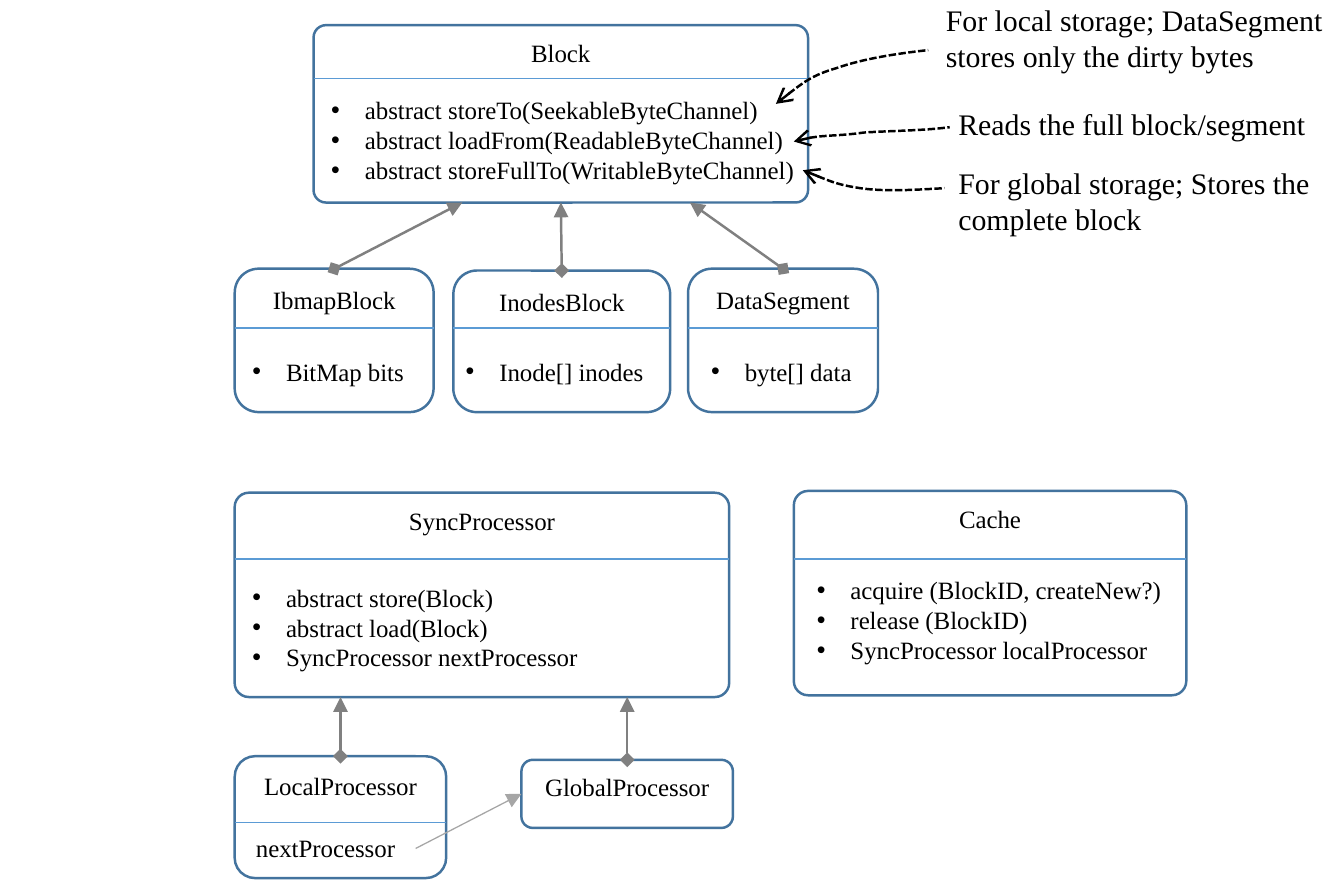
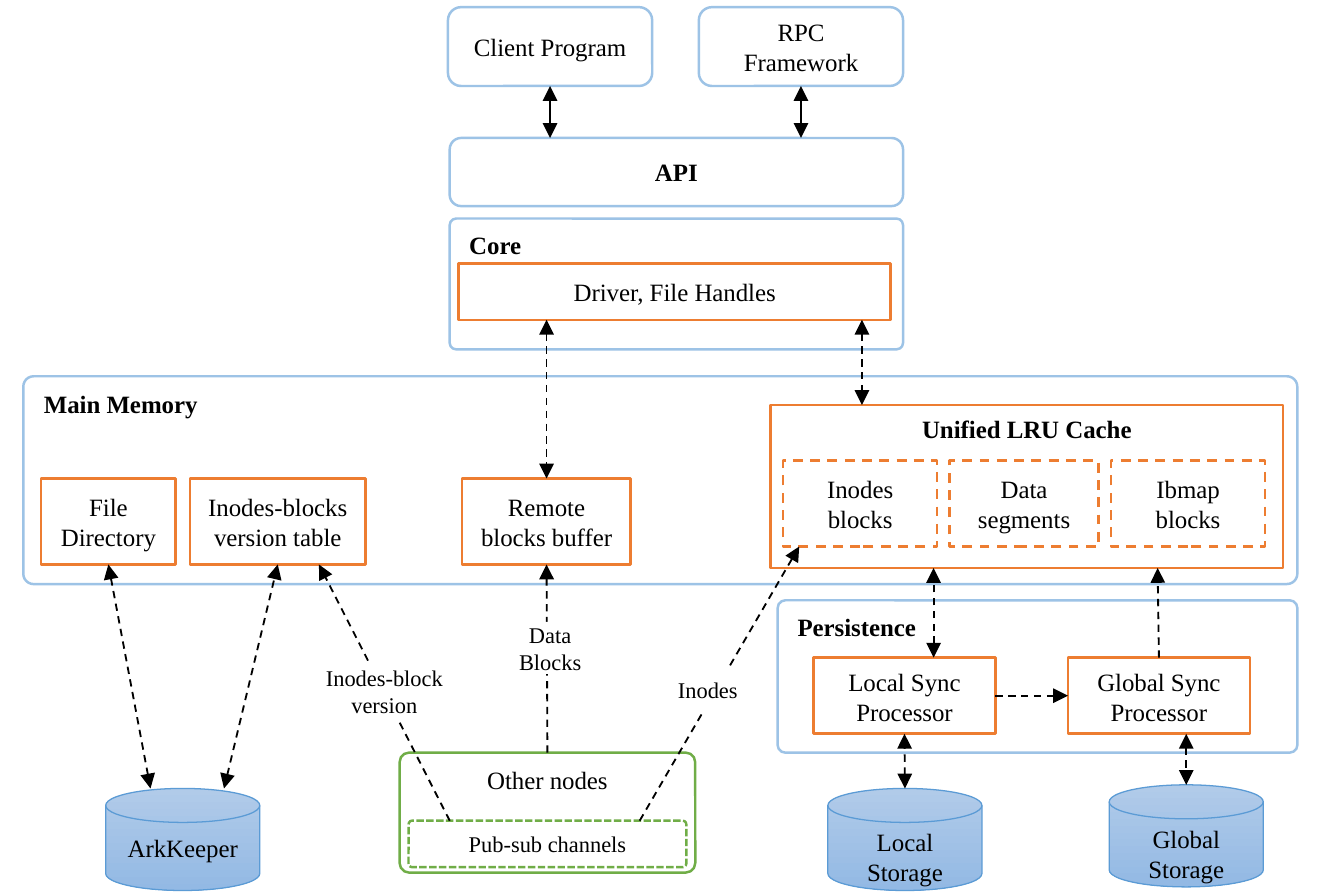
import pptx
import pptx.util
import pptx.dml.color
import pptx.enum.dml
import pptx.enum.shapes
import pptx.enum.text
import pptx.oxml
import pptx.oxml.ns

HUES = {"ink": "000000", "white": "FFFFFF", "navy": "43739E", "blue": "5B9BD5",
        "sky": "9DC3E6", "orange": "ED7D31", "green": "70AD47", "gray": "808080",
        "silver": "A6A6A6", "light": "B1CBE9", "deep": "93B9E4"}
FONT = "Times New Roman"
COLS, ROWS = 75, 50
CELL = pptx.util.Inches(7.5) / COLS
KIND = pptx.enum.shapes.MSO_SHAPE
ALIGN = pptx.enum.text.PP_ALIGN
ANCHOR = pptx.enum.text.MSO_ANCHOR
FIT = pptx.enum.text.MSO_AUTO_SIZE
DASH = pptx.enum.dml.MSO_LINE.DASH
DOTS = pptx.enum.dml.MSO_LINE.SQUARE_DOT
SIDES = [(0.5, 0), (0, 0.5), (0.5, 1), (1, 0.5)]


def hue(name):
    """Return the named colour."""
    return pptx.dml.color.RGBColor.from_string(HUES[name])


def cells(*nums):
    """Turn grid cells into lengths."""
    return [pptx.util.Emu(round(n * CELL)) for n in nums]


def within(box, x, y, w, h):
    """Place a box by its offset from the corner of another."""
    return box[0] + x, box[1] + y, w, h


def node(tag, **attrs):
    """Make one drawing element."""
    item = pptx.oxml.parse_xml("<a:%s %s/>" % (tag, pptx.oxml.ns.nsdecls("a")))
    for key, val in attrs.items():
        item.set(key, str(val))
    return item


def stroke(shape, color, wide=1, dash=None, head=None, tail=None):
    """Style an outline and its arrowheads."""
    line = shape.line
    line.color.rgb = hue(color)
    line.width = pptx.util.Pt(wide)
    if dash:
        line.dash_style = dash
    pen = shape._element.spPr.find(pptx.oxml.ns.qn("a:ln"))
    for tag, kind in (("headEnd", head), ("tailEnd", tail)):
        if kind:
            pen.append(node(tag, type=kind))


def write(par, text, size=10, bold=False):
    """Add one run to a paragraph."""
    run = par.add_run()
    run.text = text
    run.font.name = FONT
    run.font.size = pptx.util.Pt(size)
    run.font.bold = bold
    run.font.color.rgb = hue("ink")


def draw(sl, box, text, color=None, kind=KIND.RECTANGLE, adj=None, fill="white",
         dash=None, wide=1, size=10, bold=False, align=ALIGN.CENTER,
         anchor=ANCHOR.MIDDLE):
    """Draw a shape with its text."""
    shape = sl.shapes.add_shape(kind, *cells(*box))
    shape.shadow.inherit = False
    if adj:
        shape.adjustments[0] = adj
    if fill:
        shape.fill.solid()
        shape.fill.fore_color.rgb = hue(fill)
    else:
        shape.fill.background()
    if color:
        stroke(shape, color, wide, dash)
    else:
        shape.line.fill.background()
    frame = shape.text_frame
    frame.word_wrap = True
    frame.vertical_anchor = anchor
    if align == ALIGN.CENTER:
        frame.margin_left, frame.margin_right = cells(0.9, 0.9)
    par = frame.paragraphs[0]
    par.alignment = align
    write(par, text, size, bold)
    return shape


def panel(sl, box, text):
    """Draw a titled region."""
    return draw(sl, box, text, "sky", KIND.ROUNDED_RECTANGLE, 0.05, bold=True,
                align=ALIGN.LEFT, anchor=ANCHOR.TOP)


def label(sl, box, rows, size=10, wrap=False, dots=False):
    """Write a text box, with bullets if asked."""
    shape = sl.shapes.add_textbox(*cells(*box))
    frame = shape.text_frame
    frame.word_wrap = wrap
    frame.auto_size = FIT.SHAPE_TO_FIT_TEXT
    for i, text in enumerate(rows):
        par = frame.add_paragraph() if i else frame.paragraphs[0]
        write(par, text, size)
        if dots:
            pad = cells(1.88)[0]
            prop = par._p.get_or_add_pPr()
            prop.set("marL", str(pad))
            prop.set("indent", str(-pad))
            prop.append(node("buFont", typeface="Arial"))
            prop.append(node("buChar", char="•"))
    return shape


def spot(shape, side, off=None):
    """Find a point on a side, at its middle or some cells along it."""
    x = shape.left + shape.width * SIDES[side][0]
    y = shape.top + shape.height * SIDES[side][1]
    if off is not None:
        x = shape.left + off * CELL
    return pptx.util.Emu(round(x)), pptx.util.Emu(round(y))


def rule(sl, start, end, *style, **ends):
    """Draw a straight line between two points."""
    kind = pptx.enum.shapes.MSO_CONNECTOR.STRAIGHT
    line = sl.shapes.add_connector(kind, *start, *end)
    stroke(line, *style, **ends)
    line._element.spPr.append(node("effectLst"))
    return line


def link(sl, start, end, color="ink", wide=0.75, dash=DASH,
         head="triangle", tail="triangle"):
    """Link two sides, joined where they meet a middle."""
    line = rule(sl, spot(*start), spot(*end), color, wide, dash,
                head=head, tail=tail)
    if len(start) == 2:
        line.begin_connect(*start)
    if len(end) == 2:
        line.end_connect(*end)


def model(sl, box, name, split=None, part=None, rows=(), adj=None, dots=True):
    """Draw a class box with its divider and members."""
    shape = draw(sl, box, name, "navy", KIND.ROUNDED_RECTANGLE, adj, None,
                 anchor=ANCHOR.TOP)
    if not split:
        return shape, None
    x, y, w, _ = box
    rule(sl, cells(x, y + split), cells(x + w, y + split), "blue", 0.5)
    left, top, wide = part
    area = within(box, left, top, wide, 1 + 1.7 * len(rows))
    return shape, label(sl, area, rows, dots=dots)


def note(sl, box, text, curve, wrap=True):
    """Write a remark and its curved arrow."""
    pts = [cells(box[0] + x, box[1] + y) for x, y in curve]
    form = sl.shapes.build_freeform(*pts[0], scale=1.0)
    form.add_line_segments(pts[1:], close=False)
    shape = form.convert_to_shape()
    shape.shadow.inherit = False
    shape.fill.background()
    stroke(shape, "ink", 1, DOTS, head="arrow")
    steps = list(shape._element.iter(pptx.oxml.ns.qn("a:lnTo")))
    for i in range(0, len(steps), 3):
        bend = node("cubicBezTo")
        steps[i].addprevious(bend)
        for step in steps[i:i + 3]:
            bend.append(step[0])
            step.getparent().remove(step)
    label(sl, box, [text], 12, wrap)


def blocks(sl, box):
    """Draw the block classes and their parent."""
    top, _ = model(sl, within(box, 4.4, 0, 27.6, 9.9), "Block", 3, (0, 3.4, 28.4),
                   ["abstract storeTo(SeekableByteChannel)",
                    "abstract loadFrom(ReadableByteChannel)",
                    "abstract storeFullTo(WritableByteChannel)"], 0.07)
    kids = [((0, 13.6, 11.1, 8), "IbmapBlock", 3.3, (0, 4.4, 10.6), "BitMap bits", (8.3,)),
            ((12.2, 13.7, 12.1, 7.9), "InodesBlock", 3.2, (-0.3, 4.3, 12.1),
             "Inode[] inodes", ()),
            ((25.3, 13.6, 10.6, 8), "DataSegment", 3.3, (0.3, 4.4, 10), "byte[] data", (21,))]
    for area, name, split, part, row, off in kids:
        kid, _ = model(sl, within(box, *area), name, split, part, [row])
        link(sl, (top, 2, *off), (kid, 0), "gray", 1, None, tail="diamond")


def syncs(sl, box):
    """Draw the processor classes."""
    top, _ = model(sl, within(box, 0, 0, 27.6, 11.4), "SyncProcessor", 3.7,
                   (0, 4.5, 20.4), ["abstract store(Block)", "abstract load(Block)",
                                    "SyncProcessor nextProcessor"], 0.07)
    near, row = model(sl, within(box, 0, 14.7, 11.8, 6.8), "LocalProcessor", 3.7,
                      (0.2, 3.8, 9.9), ["nextProcessor"], dots=False)
    far, _ = model(sl, within(box, 16, 14.9, 11.8, 3.8), "GlobalProcessor")
    for kid, off in ((near, 5.9), (far, 21.9)):
        link(sl, (top, 2, off), (kid, 0), "gray", 1, None, tail="diamond")
    link(sl, (row, 3), (far, 1), "silver", 0.5, None, head=None)


def classes(sl):
    """Build the class diagram."""
    blocks(sl, (13.1, 1.4))
    syncs(sl, (13.1, 27.5))
    model(sl, (44.3, 27.4, 21.9, 11.4), "Cache", 3.8, (0.3, 4.2, 21.6),
          ["acquire (BlockID, createNew?)", "release (BlockID)",
           "SyncProcessor localProcessor"], 0.07)
    note(sl, (51.8, -0.4, 23.3, 5),
         "For local storage; DataSegment stores only the dirty bytes",
         [(-8.5, 6.2), (-7.5, 5.4), (-6.5, 4.6), (-5.1, 4.2), (-3.7, 3.7),
          (-1.8, 3.4), (0, 3.2)])
    note(sl, (52.5, 5.4, 21.7, 3), "Reads the full block/segment",
         [(-8.2, 2.5), (-6.9, 2.1), (-5.7, 2.2), (-4.3, 2), (-2.8, 1.9),
          (-1, 1.9), (0.5, 1.7)], False)
    note(sl, (52.5, 8.7, 24.6, 5), "For global storage; Stores the complete block",
         [(-7.7, 0.8), (-6.7, 1.2), (-5.8, 1.6), (-4.5, 1.8), (-3.1, 2),
          (-1.5, 1.9), (0.2, 1.8)])


def front(sl, box):
    """Draw the clients, the API and the core; return the driver."""
    api = draw(sl, within(box, 0.1, 7.3, 25.3, 3.8), "API", "sky",
               KIND.ROUNDED_RECTANGLE, bold=True)
    for x, name, off in ((0, "Client Program", 5.6), (14, "RPC Framework", 19.6)):
        user = draw(sl, within(box, x, 0, 11.4, 4.4), name, "sky", KIND.ROUNDED_RECTANGLE)
        link(sl, (user, 2), (api, 0, off), wide=1, dash=None)
    panel(sl, within(box, 0.1, 11.8, 25.3, 7.3), "Core")
    return draw(sl, within(box, 0.6, 14.3, 24.1, 3.15), "Driver, File Handles", "orange")


def memory(sl, box):
    """Draw main memory; return its parts."""
    panel(sl, box, "Main Memory")
    parts = [draw(sl, within(box, x, 5.7, w, 4.8), name, "orange")
             for x, w, name in ((1, 7.5, "File Directory"),
                                (9.3, 9.8, "Inodes-blocks version table"),
                                (24.5, 9.4, "Remote blocks buffer"))]
    cache = draw(sl, within(box, 41.7, 1.6, 28.6, 9.1), "Unified LRU Cache", "orange",
                 fill=None, bold=True, anchor=ANCHOR.TOP)
    slots = [draw(sl, within(box, x, 4.7, w, 4.8), name, "orange", dash=DASH)
             for x, w, name in ((42.4, 8.6, "Inodes blocks"),
                                (51.7, 8.3, "Data segments"),
                                (60.7, 8.6, "Ibmap blocks"))]
    return *parts, cache, slots[0]


def persist(sl, box):
    """Draw the persistence region; return its processors."""
    panel(sl, box, "Persistence")
    return [draw(sl, within(box, x, 3.2, 10.15, 4.25), name, "orange", anchor=ANCHOR.TOP)
            for x, name in ((2, "Local Sync Processor"), (16.2, "Global Sync Processor"))]


def peers(sl, box):
    """Draw the other nodes and their channels."""
    style = dict(color="green", kind=KIND.ROUNDED_RECTANGLE, adj=0.08)
    outer = draw(sl, box, "Other nodes", anchor=ANCHOR.TOP, **style)
    inner = draw(sl, within(box, 0.5, 3.8, 15.5, 2.6), "Pub-sub channels", dash=DOTS,
                 size=9, **style)
    return outer, inner


def store(sl, x, y, name, top=0.5):
    """Draw a storage drum."""
    drum = draw(sl, (x, y, 8.6, 5.7), name, "blue", KIND.FLOWCHART_MAGNETIC_DISK, wide=0.5)
    drum.fill.gradient()
    drum.fill.gradient_angle = 270
    for stop, tint in zip(drum.fill.gradient_stops, ("light", "deep")):
        stop.color.rgb = hue(tint)
    drum.text_frame.margin_top = cells(top)[0]
    return drum


def system(sl):
    """Build the architecture diagram."""
    driver = front(sl, (25, 0.4))
    files, table, remote, cache, inodes = memory(sl, (1.3, 21, 71.1, 11.6))
    near, far = persist(sl, (43.4, 33.5, 29, 8.5))
    outer, inner = peers(sl, (22.3, 42, 16.5, 6.7))
    keeper = store(sl, 5.9, 44, "ArkKeeper")
    disk = store(sl, 46.2, 44, "Local Storage", 1.5)
    cloud = store(sl, 61.9, 43.8, "Global Storage", 1.5)
    for start, end in (((keeper, 0, 2.5), (files, 2)), ((keeper, 0, 6.6), (table, 2)),
                       ((driver, 2, 4.9), (remote, 0)),
                       ((driver, 2, 22.5), (cache, 0, 5.1)),
                       ((near, 0, 6.7), (cache, 2, 9.1)),
                       ((disk, 0, 4.3), (near, 2)),
                       ((far, 2, 6.6), (cloud, 0, 4.3))):
        link(sl, start, end)
    for start, end in (((near, 3), (far, 1)), ((far, 0), (cache, 2, 21.6)),
                       ((outer, 0), (remote, 2)),
                       ((inner, 0, 2.3), (table, 2, 7.2)),
                       ((inner, 0, 12.9), (inodes, 2, 0.9))):
        link(sl, start, end, head=None)
    for box, name in (((27.1, 34.7, 7.2, 2.9), "Data Blocks"),
                      ((17.1, 36.9, 8.7, 3.3), "Inodes-block version"),
                      ((36.5, 37.2, 6, 2.6), "Inodes")):
        draw(sl, box, name, size=9)


def main():
    """Build both slides and save them."""
    deck = pptx.Presentation()
    deck.slide_width, deck.slide_height = cells(COLS, ROWS)
    for build in (classes, system):
        build(deck.slides.add_slide(deck.slide_layouts[6]))
    deck.save("out.pptx")


if __name__ == "__main__":
    main()
